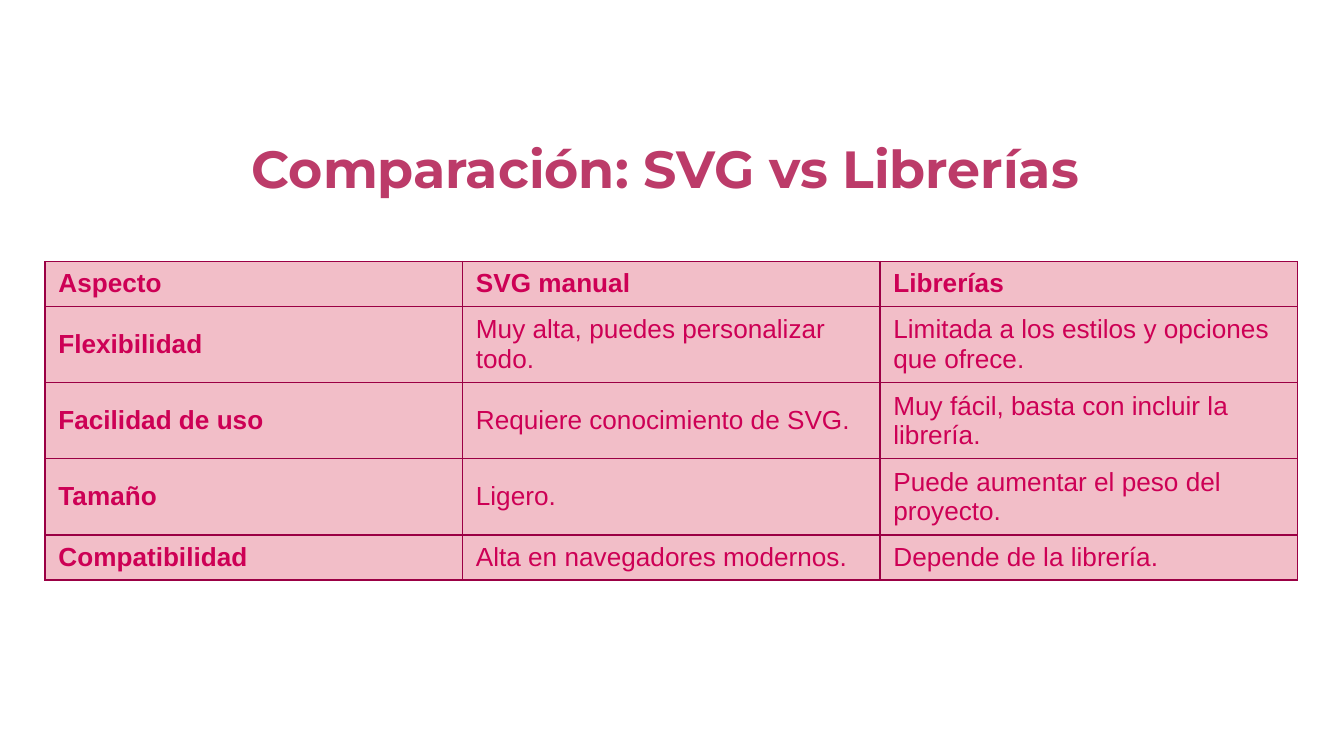
import dataclasses

import lxml.etree
import pptx
import pptx.dml.color
import pptx.enum.text
import pptx.oxml.ns
import pptx.slide
import pptx.table
import pptx.text.text
import pptx.util
from pptx.util import Cm

COLORS = {
    "title": "BC3B69",
    "text": "CD0055",
    "fill": "F2BEC8",
    "border": "9B0044",
}
COLUMN_WIDTH = Cm(7.89)
SINGLE_LINE_HEIGHT = Cm(0.85)
DOUBLE_LINE_HEIGHT = Cm(1.44)
BORDER_WIDTH = pptx.util.Pt(0.75)


@dataclasses.dataclass(frozen=True)
class ComparisonRow:
    aspect: str
    manual: str
    library: str
    height: int
    header: bool = False


ROWS = [
    ComparisonRow("Aspecto", "SVG manual", "Librerías", SINGLE_LINE_HEIGHT, True),
    ComparisonRow("Flexibilidad", "Muy alta, puedes personalizar todo.",
                  "Limitada a los estilos y opciones que ofrece.", DOUBLE_LINE_HEIGHT),
    ComparisonRow("Facilidad de uso", "Requiere conocimiento de SVG.",
                  "Muy fácil, basta con incluir la librería.", DOUBLE_LINE_HEIGHT),
    ComparisonRow("Tamaño", "Ligero.",
                  "Puede aumentar el peso del proyecto.", DOUBLE_LINE_HEIGHT),
    ComparisonRow("Compatibilidad", "Alta en navegadores modernos.",
                  "Depende de la librería.", SINGLE_LINE_HEIGHT),
]


def color(name: str) -> pptx.dml.color.RGBColor:
    return pptx.dml.color.RGBColor.from_string(COLORS[name])


def add_run(paragraph: pptx.text.text._Paragraph, text: str, font_name: str,
            size: int, color_name: str, bold: bool) -> None:
    paragraph.alignment = pptx.enum.text.PP_ALIGN.LEFT
    run = paragraph.add_run()
    run.text = text
    run.font.name = font_name
    run.font.size = pptx.util.Pt(size)
    run.font.bold = bold
    run.font.color.rgb = color(color_name)


def add_borders(cell: pptx.table._Cell) -> None:
    properties = cell._tc.get_or_add_tcPr()
    qualified = pptx.oxml.ns.qn
    for position, side in enumerate(("a:lnL", "a:lnR", "a:lnT", "a:lnB")):
        line = lxml.etree.Element(qualified(side), w=str(BORDER_WIDTH))
        fill = lxml.etree.SubElement(line, qualified("a:solidFill"))
        lxml.etree.SubElement(fill, qualified("a:srgbClr"), val=COLORS["border"])
        properties.insert(position, line)


def format_title(slide: pptx.slide.Slide) -> None:
    title = slide.shapes.title
    title.left, title.top = Cm(4.5), Cm(2.44)
    title.width, title.height = Cm(17.58), Cm(1.45)
    frame = title.text_frame
    frame.word_wrap = True
    frame.auto_size = pptx.enum.text.MSO_AUTO_SIZE.SHAPE_TO_FIT_TEXT
    frame.vertical_anchor = pptx.enum.text.MSO_ANCHOR.TOP
    add_run(frame.paragraphs[0], "Comparación: SVG vs Librerías",
            "Montserrat", 28, "title", True)


def add_comparison(slide: pptx.slide.Slide, rows: list[ComparisonRow]) -> None:
    height = sum(row.height for row in rows)
    table = slide.shapes.add_table(
        len(rows), 3, Cm(0.85), Cm(4.94), COLUMN_WIDTH * 3, height).table
    table.horz_banding = False
    for column in table.columns:
        column.width = COLUMN_WIDTH
    for row_index, row in enumerate(rows):
        table.rows[row_index].height = row.height
        for column_index, text in enumerate((row.aspect, row.manual, row.library)):
            cell = table.cell(row_index, column_index)
            cell.vertical_anchor = pptx.enum.text.MSO_ANCHOR.MIDDLE
            cell.fill.solid()
            cell.fill.fore_color.rgb = color("fill")
            add_borders(cell)
            add_run(cell.text_frame.paragraphs[0], text, "Arial", 14, "text",
                    row.header or column_index == 0)


def main() -> None:
    presentation = pptx.Presentation()
    presentation.slide_width = Cm(25.4)
    presentation.slide_height = Cm(14.29)
    slide = presentation.slides.add_slide(presentation.slide_layouts[5])
    format_title(slide)
    add_comparison(slide, ROWS)
    presentation.save("out.pptx")


if __name__ == "__main__":
    main()
